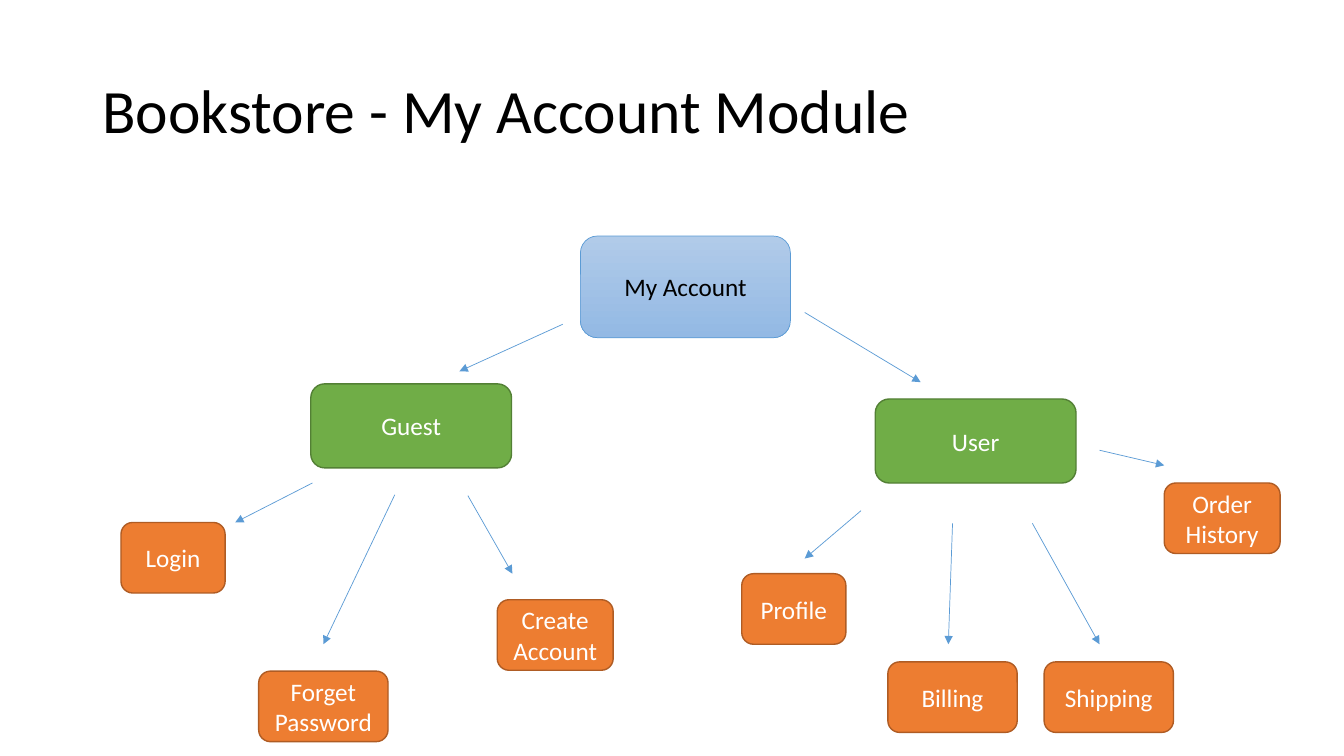
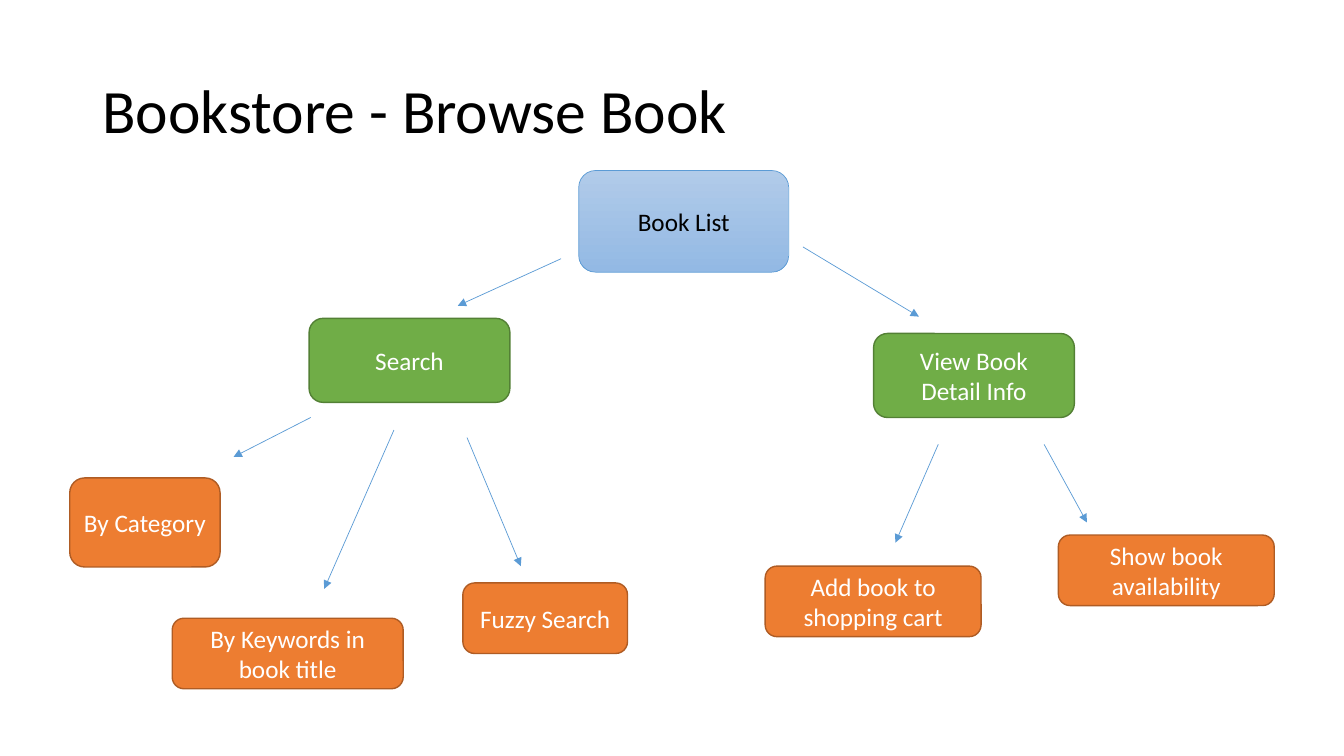
"""Two module trees of a bookstore, drawn on a 16 x 9 grid."""
from pptx import Presentation, util as u
from pptx.dml.color import RGBColor
from pptx.enum import shapes, text
from pptx.oxml.ns import qn
from lxml import etree

WIDTH, HEIGHT = u.Inches(13.333), u.Inches(7.5)
COL, ROW = WIDTH / 16, HEIGHT / 9
FONT = "Calibri"

BLACK = RGBColor(0x00, 0x00, 0x00)
WHITE = RGBColor(0xFF, 0xFF, 0xFF)
BLUE = RGBColor(0x5B, 0x9B, 0xD5)
BLUE_TOP = RGBColor(0xB1, 0xCB, 0xE9)
BLUE_BOTTOM = RGBColor(0x93, 0xB9, 0xE4)
GREEN = RGBColor(0x70, 0xAD, 0x47)
GREEN_EDGE = RGBColor(0x53, 0x80, 0x35)
ORANGE = RGBColor(0xED, 0x7D, 0x31)
ORANGE_EDGE = RGBColor(0xAF, 0x5C, 0x24)

# Node styles: fill colours, edge colour, edge width, text colour
ROOT = ((BLUE_TOP, BLUE_BOTTOM), BLUE, 0.5, BLACK)
BRANCH = ((GREEN,), GREEN_EDGE, 1, WHITE)
LEAF = ((ORANGE,), ORANGE_EDGE, 1, WHITE)
LEAF_H = 0.84

# Tree top shared by the slides: label order is root, left, right
TRUNK_NODES = [
    (6.91, 2.81, 2.5, 1.21, ROOT),
    (3.7, 4.57, 2.39, 1, BRANCH),
    (10.42, 4.75, 2.39, 1, BRANCH),
]
TRUNK_ARROWS = [
    (6.7, 3.86, 5.47, 4.42),
    (9.58, 3.72, 10.96, 4.55),
    (3.72, 5.75, 2.8, 6.22),
]

# Each slide: title, shift of the trunk, trunk labels,
# leaves (label, column, row, width, height) and arrows to the leaves
SLIDES = [
    ("Bookstore - My Account Module", (0, 0), ("My Account", "Guest", "User"),
     [("Login", 1.44, 6.22, 1.24, LEAF_H),
      ("Create Account", 5.92, 7.14, 1.38, LEAF_H),
      ("Forget Password", 3.08, 7.99, 1.54, LEAF_H),
      ("Profile", 8.83, 6.83, 1.24, LEAF_H),
      ("Order History", 13.86, 5.75, 1.38, LEAF_H),
      ("Billing", 10.57, 7.88, 1.54, LEAF_H),
      ("Shipping", 12.43, 7.88, 1.54, LEAF_H)],
     [(4.7, 5.89, 3.85, 7.67), (5.57, 5.9, 6.1, 6.83),
      (10.25, 6.08, 9.58, 6.65), (11.34, 6.23, 11.29, 7.67),
      (12.29, 6.23, 13.09, 7.67), (13.09, 5.36, 13.86, 5.54)]),
    ("Bookstore - Browse Book", (-0.02, -0.78),
     ("Book List", "Search", "View Book Detail Info"),
     [("By Category", 0.83, 5.69, 1.79, 1.06),
      ("By Keywords in book title", 2.05, 7.36, 2.75, LEAF_H),
      ("Fuzzy Search", 5.51, 6.94, 1.96, LEAF_H),
      ("Add book to shopping cart", 9.11, 6.74, 2.57, LEAF_H),
      ("Show book availability", 12.6, 6.37, 2.57, LEAF_H)],
     [(4.69, 5.12, 3.86, 7.01), (5.56, 5.21, 6.2, 6.74),
      (11.17, 5.29, 10.66, 6.46), (12.43, 5.29, 12.94, 6.22)]),
]


def grid(x1, y1, x2, y2):
    """Turn two pairs of columns and rows into slide lengths."""
    return round(x1 * COL), round(y1 * ROW), round(x2 * COL), round(y2 * ROW)


def set_text(sp, label, size, color, align):
    """Write one wrapped, vertically centred paragraph and return it."""
    tf = sp.text_frame
    tf.word_wrap = True
    tf.vertical_anchor = text.MSO_ANCHOR.MIDDLE
    tf.text = label
    p = tf.paragraphs[0]
    p.alignment = align
    font = p.runs[0].font
    font.name, font.size, font.color.rgb = FONT, u.Pt(size), color
    return p


def add_title(s, label):
    """Add the slide title."""
    sp = s.shapes.add_textbox(*grid(1.1, 0.48, 13.8, 1.74))
    set_text(sp, label, 44, BLACK, text.PP_ALIGN.LEFT).line_spacing = 0.9


def add_node(s, label, x, y, w, h, style):
    """Add a rounded box of the tree in the given style."""
    fills, edge, edge_width, color = style
    sp = s.shapes.add_shape(shapes.MSO_SHAPE.ROUNDED_RECTANGLE, *grid(x, y, w, h))
    sp.shadow.inherit = False
    if len(fills) == 1:
        sp.fill.solid()
        sp.fill.fore_color.rgb = fills[0]
    else:
        sp.fill.gradient()
        sp.fill.gradient_angle = 270
        for stop, fill in zip(sp.fill.gradient_stops, fills):
            stop.color.rgb = fill
    sp.line.color.rgb = edge
    sp.line.width = u.Pt(edge_width)
    set_text(sp, label, 18, color, text.PP_ALIGN.CENTER)


def add_arrow(s, x1, y1, x2, y2):
    """Add a thin arrow that points at its second end."""
    line = s.shapes.add_connector(shapes.MSO_CONNECTOR.STRAIGHT,
                                  *grid(x1, y1, x2, y2))
    line.line.color.rgb = BLUE
    line.line.width = u.Pt(0.5)
    etree.SubElement(line.line._get_or_add_ln(), qn("a:tailEnd"), type="triangle")
    etree.SubElement(line._element.spPr, qn("a:effectLst"))


def add_trunk(s, labels, dx, dy):
    """Add the root, its two branches and their arrows, shifted as one."""
    for label, (x, y, w, h, style) in zip(labels, TRUNK_NODES):
        add_node(s, label, x + dx, y + dy, w, h, style)
    for x1, y1, x2, y2 in TRUNK_ARROWS:
        add_arrow(s, x1 + dx, y1 + dy, x2 + dx, y2 + dy)


def main():
    """Build the slides and save them."""
    prs = Presentation()
    prs.slide_width, prs.slide_height = WIDTH, HEIGHT
    for title, shift, labels, leaves, arrows in SLIDES:
        s = prs.slides.add_slide(prs.slide_layouts[6])
        add_title(s, title)
        add_trunk(s, labels, *shift)
        for leaf in leaves:
            add_node(s, *leaf, LEAF)
        for arrow in arrows:
            add_arrow(s, *arrow)
    prs.save("out.pptx")


main()
